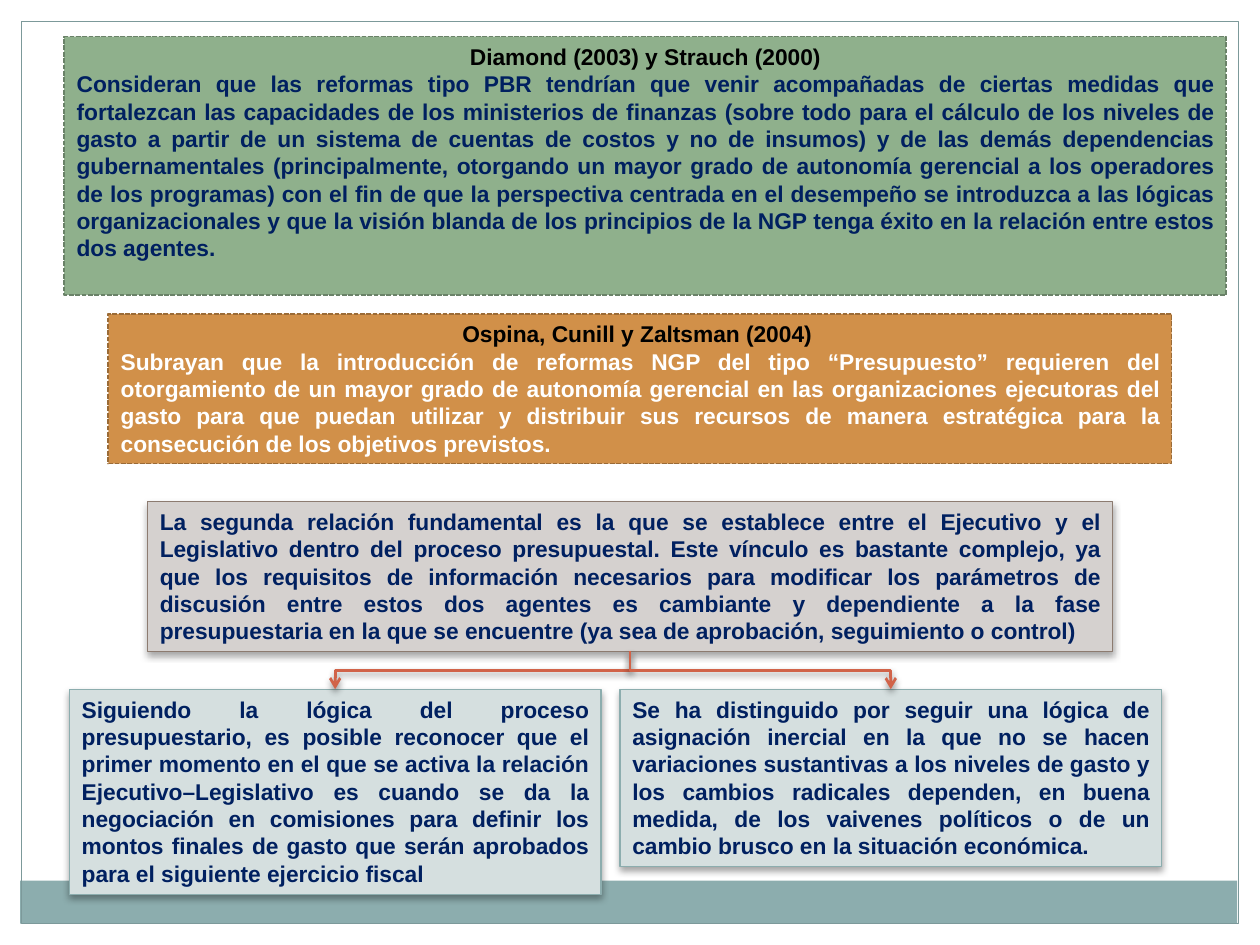
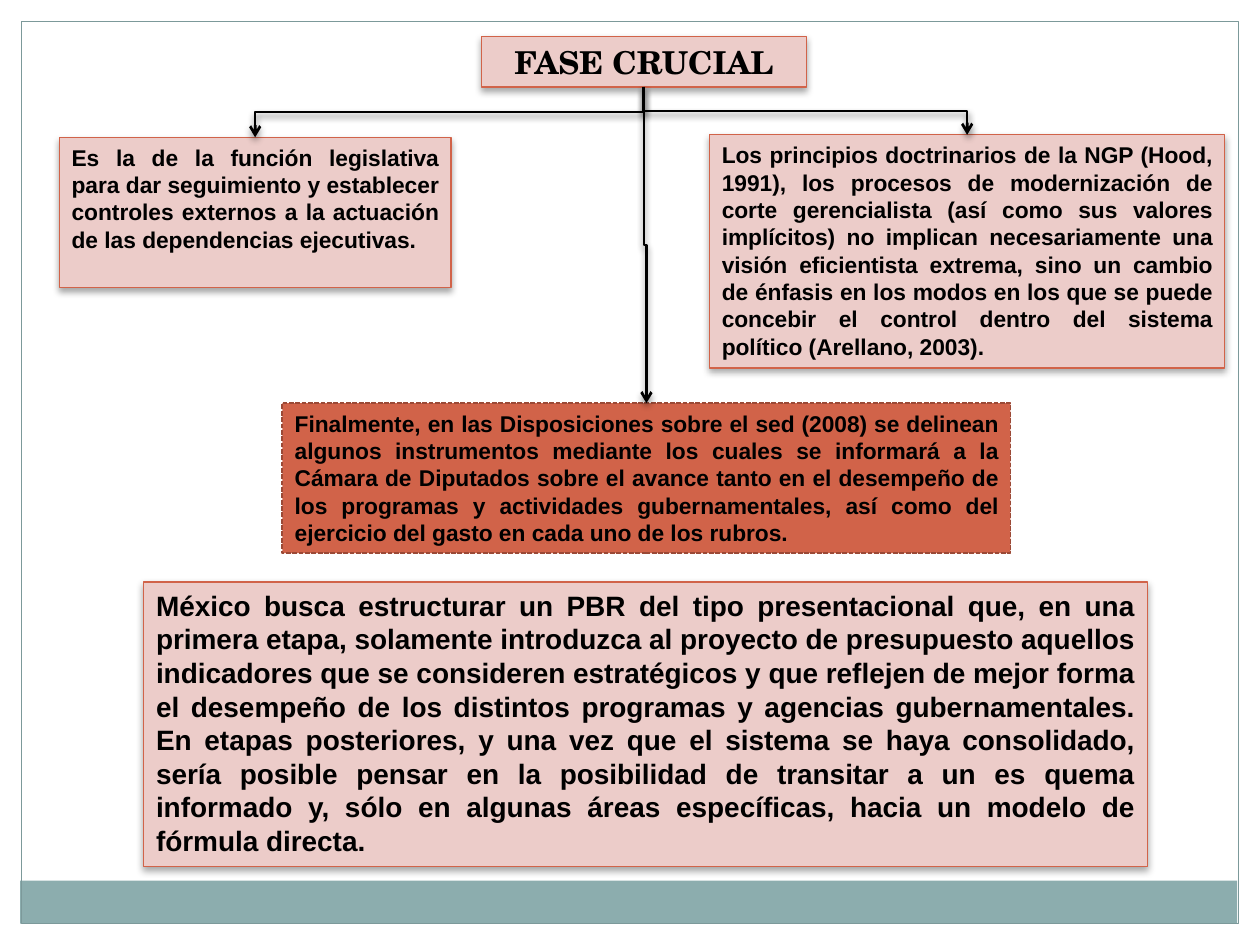
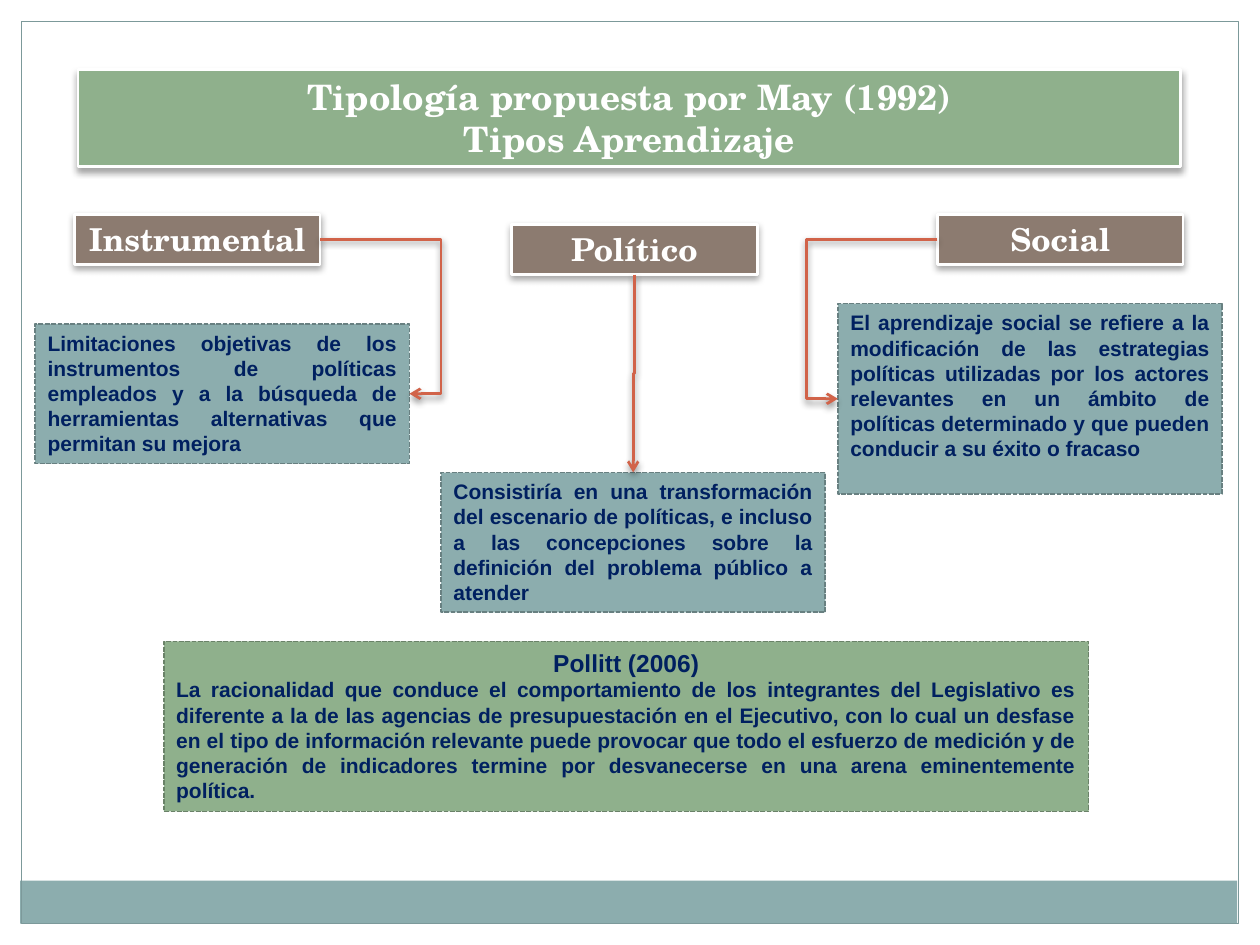
from dataclasses import dataclass

from lxml import etree
from pptx import Presentation
from pptx import util as u
from pptx.dml.color import RGBColor
from pptx.enum import dml, shapes, text
from pptx.oxml.ns import qn

BLACK = RGBColor(0x00, 0x00, 0x00)
WHITE = RGBColor(0xFF, 0xFF, 0xFF)
NAVY = RGBColor(0x00, 0x20, 0x60)
TEAL = RGBColor(0x8C, 0xAD, 0xAE)
TEAL_DARK = RGBColor(0x68, 0x80, 0x81)
TEAL_PALE = RGBColor(0xD5, 0xDF, 0xDF)
FRAME_LINE = RGBColor(0x7C, 0x99, 0x9A)
GREEN = RGBColor(0x8F, 0xB0, 0x8C)
GREEN_DARK = RGBColor(0x6A, 0x82, 0x68)
ORANGE = RGBColor(0xD1, 0x90, 0x49)
ORANGE_DARK = RGBColor(0x9B, 0x6B, 0x36)
RED = RGBColor(0xD1, 0x63, 0x49)
RED_DARK = RGBColor(0x9B, 0x49, 0x36)
RED_PALE = RGBColor(0xEC, 0xCC, 0xC9)
BROWN = RGBColor(0x8C, 0x7B, 0x70)
BROWN_PALE = RGBColor(0xD5, 0xD1, 0xCF)

BODY_FONT = "Arial"
TITLE_FONT = "TeX Gyre Schola"
CENTER = text.PP_ALIGN.CENTER
TOP, LEFT, BOTTOM, RIGHT = range(4)
ELBOW_REACH = u.Inches(0.25)


@dataclass
class Area:
    left: float
    top: float
    width: float
    height: float

    def inner(self, left, top, width, height):
        """Area placed relative to this one."""
        return Area(self.left + left, self.top + top, width, height)


@dataclass
class Style:
    fill: RGBColor
    line: RGBColor
    line_width: float = 0.75
    dashed: bool = False


def dashed(fill, line):
    return Style(fill, line, 0.9, True)


GREEN_BOX = dashed(GREEN, GREEN_DARK)
ORANGE_BOX = dashed(ORANGE, ORANGE_DARK)
RED_BOX = dashed(RED, RED_DARK)
TEAL_BOX = dashed(TEAL, TEAL_DARK)
BROWN_CARD = Style(BROWN_PALE, BROWN)
TEAL_CARD = Style(TEAL_PALE, TEAL)
RED_CARD = Style(RED_PALE, RED)
TITLE_CARD = Style(GREEN, WHITE, 1.57)
LABEL_CARD = Style(BROWN, WHITE, 1.57)


def add_shadow(effects, opacity):
    shadow = etree.SubElement(effects, qn("a:outerShdw"), blurRad=str(u.Pt(4)),
                              dist=str(u.Pt(2)), dir="5400000", rotWithShape="0")
    color = etree.SubElement(shadow, qn("a:srgbClr"), val=str(BLACK))
    etree.SubElement(color, qn("a:alpha"), val=str(opacity * 1000))


def place(shape, area):
    shape.left, shape.top = u.Inches(area.left), u.Inches(area.top)
    shape.width, shape.height = u.Inches(area.width), u.Inches(area.height)


def write(shape, words, size=13, font=BODY_FONT, color=NAVY,
          align=text.PP_ALIGN.JUSTIFY):
    """Add one paragraph, using the empty first one when there is one."""
    frame = shape.text_frame
    paragraph = frame.paragraphs[0] if not frame.text else frame.add_paragraph()
    paragraph.alignment = align
    run = paragraph.add_run()
    run.text = words
    run.font.size, run.font.name, run.font.bold = u.Pt(size), font, True
    run.font.color.rgb = color


def format_box(shape, area, style):
    place(shape, area)
    shape.fill.solid()
    shape.fill.fore_color.rgb = style.fill
    shape.line.color.rgb = style.line
    shape.line.width = u.Pt(style.line_width)
    shape.shadow.inherit = False
    if style.dashed:
        shape.line.dash_style = dml.MSO_LINE.SQUARE_DOT
    else:
        add_shadow(shape._element.spPr.find(qn("a:effectLst")), 35)
    frame = shape.text_frame
    frame.word_wrap = True
    frame.auto_size = text.MSO_AUTO_SIZE.NONE
    frame.vertical_anchor = text.MSO_ANCHOR.TOP
    frame.margin_left = frame.margin_right = u.Inches(0.1)
    frame.margin_top = frame.margin_bottom = u.Inches(0.05)


def add_box(slide, area, style, words, **text_format):
    shape = slide.shapes.add_shape(shapes.MSO_SHAPE.RECTANGLE, 0, 0, 0, 0)
    format_box(shape, area, style)
    write(shape, words, **text_format)
    return shape


def format_title(slide, area, style, lines, size, color):
    title = slide.shapes.title
    format_box(title, area, style)
    for line in lines:
        write(title, line, size=size, font=TITLE_FONT, color=color, align=CENTER)
    return title


def add_elbow(slide, start, start_side, end, end_side, color):
    connector = slide.shapes.add_connector(shapes.MSO_CONNECTOR.ELBOW, 0, 0, 0, 0)
    connector.begin_connect(start, start_side)
    connector.end_connect(end, end_side)
    connector.line.color.rgb = color
    connector.line.width = u.Pt(1.57)
    properties = connector._element.spPr
    etree.SubElement(properties.find(qn("a:ln")), qn("a:tailEnd"), type="arrow")
    add_shadow(etree.SubElement(properties, qn("a:effectLst")), 45)
    return connector


def connect_down(slide, parent, child, color):
    """Elbow from the bottom of parent to the top of child."""
    connector = add_elbow(slide, parent, BOTTOM, child, TOP, color)
    x1, y1 = connector.begin_x, connector.begin_y
    x2, y2 = connector.end_x, connector.end_y
    across, down = abs(x2 - x1), y2 - y1
    transform = connector._element.spPr.find(qn("a:xfrm"))
    for flip in ("flipH", "flipV"):
        transform.attrib.pop(flip, None)
    if x2 > x1:
        transform.set("rot", "16200000")
        transform.set("flipH", "1")
    else:
        transform.set("rot", "5400000")
    connector.left, connector.top = (x1 + x2 - down) // 2, (y1 + y2 - across) // 2
    connector.width, connector.height = down, across


def connect_around(slide, label, box, side, color):
    """Elbow that leaves and arrives on the same side, passing outside both."""
    connector = add_elbow(slide, label, side, box, side, color)
    bend = round(100000 * (1 + ELBOW_REACH / connector.width))
    geometry = connector._element.spPr.find(qn("a:prstGeom"))
    guides = geometry.find(qn("a:avLst"))
    if guides is None:
        guides = etree.SubElement(geometry, qn("a:avLst"))
    etree.SubElement(guides, qn("a:gd"), name="adj1", fmla=f"val {bend}")


def add_master_frame(presentation, slide):
    """Draw the band and the frame, then move them to the slide master."""
    tree = presentation.slide_master.shapes._spTree
    for number, area in enumerate((Area(0.16, 6.99, 9.66, 0.34),
                                   Area(0.17, 0.17, 9.66, 7.16))):
        shape = slide.shapes.add_shape(shapes.MSO_SHAPE.RECTANGLE, 0, 0, 0, 0)
        place(shape, area)
        shape.shadow.inherit = False
        if number == 0:
            shape.fill.solid()
            shape.fill.fore_color.rgb = TEAL
            shape.line.fill.background()
        else:
            shape.fill.background()
            shape.line.color.rgb = FRAME_LINE
            shape.line.width = u.Pt(0.75)
        shape._element.nvSpPr.cNvPr.set("id", str(100 + number))
        tree.append(shape._element)


def add_authors(slide, area):
    diamond = add_box(slide, area.inner(0, 0, 9.22, 2.05), GREEN_BOX,
                      "Diamond (2003) y Strauch (2000)", color=BLACK, align=CENTER)
    write(diamond, "Consideran que las reformas tipo PBR tendrían que venir acompañadas "
          "de ciertas medidas que fortalezcan las capacidades de los ministerios de "
          "finanzas (sobre todo para el cálculo de los niveles de gasto a partir de un "
          "sistema de cuentas de costos y no de insumos) y de las demás dependencias "
          "gubernamentales (principalmente, otorgando un mayor grado de autonomía "
          "gerencial a los operadores de los programas) con el fin de que la perspectiva "
          "centrada en el desempeño se introduzca a las lógicas organizacionales y que "
          "la visión blanda de los principios de la NGP tenga éxito en la relación entre "
          "estos dos agentes.")
    ospina = add_box(slide, area.inner(0.35, 2.2, 8.44, 1.19), ORANGE_BOX,
                     "Ospina, Cunill y Zaltsman (2004) ", color=BLACK, align=CENTER)
    write(ospina, "Subrayan que la introducción de reformas NGP del tipo “Presupuesto” "
          "requieren del otorgamiento de un mayor grado de autonomía gerencial en las "
          "organizaciones ejecutoras del gasto para que puedan utilizar y distribuir sus "
          "recursos de manera estratégica para la consecución de los objetivos "
          "previstos.", color=WHITE)


def add_second_relation(slide, area):
    relation = add_box(
        slide, area.inner(0.62, 0, 7.66, 1.19), BROWN_CARD,
        "La segunda relación fundamental es la que se establece entre el Ejecutivo y el "
        "Legislativo dentro del proceso presupuestal. Este vínculo es bastante complejo, "
        "ya que los requisitos de información necesarios para modificar los parámetros "
        "de discusión entre estos dos agentes es cambiante y dependiente a la fase "
        "presupuestaria en la que se encuentre (ya sea de aprobación, seguimiento o "
        "control)")
    negotiation = add_box(
        slide, area.inner(0, 1.49, 4.22, 1.63), TEAL_CARD,
        "Siguiendo la lógica del proceso presupuestario, es posible reconocer que el "
        "primer momento en el que se activa la relación Ejecutivo–Legislativo es cuando "
        "se da la negociación en comisiones para definir los montos finales de gasto que "
        "serán aprobados para el siguiente ejercicio fiscal")
    inertia = add_box(
        slide, area.inner(4.37, 1.49, 4.3, 1.41), TEAL_CARD,
        "Se ha distinguido por seguir una lógica de asignación inercial en la que no se "
        "hacen variaciones sustantivas a los niveles de gasto y los cambios radicales "
        "dependen, en buena medida, de los vaivenes políticos o de un cambio brusco en "
        "la situación económica. ")
    for child in (negotiation, inertia):
        connect_down(slide, relation, child, RED)


def add_crucial_phase(slide, area):
    title = format_title(slide, area.inner(3.35, 0, 2.58, 0.4), RED_CARD,
                         ["FASE CRUCIAL"], 18, BLACK)
    branches = (
        (area.inner(0, 0.8, 3.11, 1.19), RED_CARD,
         "Es la de la función legislativa para dar seguimiento y establecer controles "
         "externos a la actuación de las dependencias ejecutivas."),
        (area.inner(5.16, 0.78, 4.09, 1.85), RED_CARD,
         "Los principios doctrinarios de la NGP (Hood, 1991), los procesos de "
         "modernización de corte gerencialista (así como sus valores implícitos) no "
         "implican necesariamente una visión eficientista extrema, sino un cambio de "
         "énfasis en los modos en los que se puede concebir el control dentro del "
         "sistema político (Arellano, 2003)."),
        (area.inner(1.77, 2.91, 5.78, 1.19), RED_BOX,
         "Finalmente, en las Disposiciones sobre el sed (2008) se delinean algunos "
         "instrumentos mediante los cuales se informará a la Cámara de Diputados sobre "
         "el avance tanto en el desempeño de los programas y actividades "
         "gubernamentales, así como del ejercicio del gasto en cada uno de los rubros."),
    )
    for box_area, style, words in branches:
        box = add_box(slide, box_area, style, words, color=BLACK)
        connect_down(slide, title, box, BLACK)


def add_conclusion(slide, area):
    add_box(slide, area, RED_CARD,
            "México busca estructurar un PBR del tipo presentacional que, en una primera "
            "etapa, solamente introduzca al proyecto de presupuesto aquellos indicadores "
            "que se consideren estratégicos y que reflejen de mejor forma el desempeño "
            "de los distintos programas y agencias gubernamentales. En etapas "
            "posteriores, y una vez que el sistema se haya consolidado, sería posible "
            "pensar en la posibilidad de transitar a un es quema informado y, sólo en "
            "algunas áreas específicas, hacia un modelo de fórmula directa.",
            size=16, color=BLACK)


def add_learning_types(slide, area):
    learning_types = (
        ("Instrumental", (0.31, 0), (0, 0.87, 2.97, 1.11), RIGHT,
         "Limitaciones objetivas de los instrumentos de políticas empleados y a la "
         "búsqueda de herramientas alternativas que permitan su mejora"),
        ("Social", (7.16, 0), (6.37, 0.71, 3.05, 1.51), LEFT,
         "El aprendizaje social se refiere a la modificación de las estrategias "
         "políticas utilizadas por los actores relevantes en un ámbito de políticas "
         "determinado y que pueden conducir a su éxito o fracaso"),
        ("Político", (3.78, 0.08), (3.22, 2.05, 3.05, 1.11), BOTTOM,
         "Consistiría en una transformación del escenario de políticas, e incluso a las "
         "concepciones sobre la definición del problema público a atender"),
    )
    for name, corner, box_place, side, words in learning_types:
        label = add_box(slide, area.inner(*corner, 1.95, 0.4), LABEL_CARD, name,
                        size=18, font=TITLE_FONT, color=WHITE, align=CENTER)
        box = add_box(slide, area.inner(*box_place), TEAL_BOX, words, size=12)
        if side == BOTTOM:
            connect_down(slide, label, box, RED)
        else:
            connect_around(slide, label, box, side, RED)


def add_pollitt(slide, area):
    box = add_box(slide, area, GREEN_BOX, "Pollitt (2006)", size=14, align=CENTER)
    write(box, "La racionalidad que conduce el comportamiento de los integrantes del "
          "Legislativo es diferente a la de las agencias de presupuestación en el "
          "Ejecutivo, con lo cual un desfase en el tipo de información relevante puede "
          "provocar que todo el esfuerzo de medición y de generación de indicadores "
          "termine por desvanecerse en una arena eminentemente política.", size=12)


def main():
    presentation = Presentation()
    presentation.slide_width, presentation.slide_height = u.Inches(10), u.Inches(7.5)
    title_only, blank = presentation.slide_layouts[5], presentation.slide_layouts[6]

    slide = presentation.slides.add_slide(blank)
    add_master_frame(presentation, slide)
    add_authors(slide, Area(0.51, 0.29, 9.22, 3.39))
    add_second_relation(slide, Area(0.55, 3.98, 8.67, 3.12))

    slide = presentation.slides.add_slide(title_only)
    add_crucial_phase(slide, Area(0.47, 0.29, 9.25, 4.1))
    add_conclusion(slide, Area(1.14, 4.62, 7.97, 2.26))

    slide = presentation.slides.add_slide(title_only)
    format_title(slide, Area(0.62, 0.55, 8.75, 0.77), TITLE_CARD,
                 ["Tipología propuesta por May (1992)", "Tipos Aprendizaje"], 20, WHITE)
    add_learning_types(slide, Area(0.28, 1.7, 9.42, 3.16))
    add_pollitt(slide, Area(1.3, 5.09, 7.34, 1.35))

    presentation.save("out.pptx")


if __name__ == "__main__":
    main()
